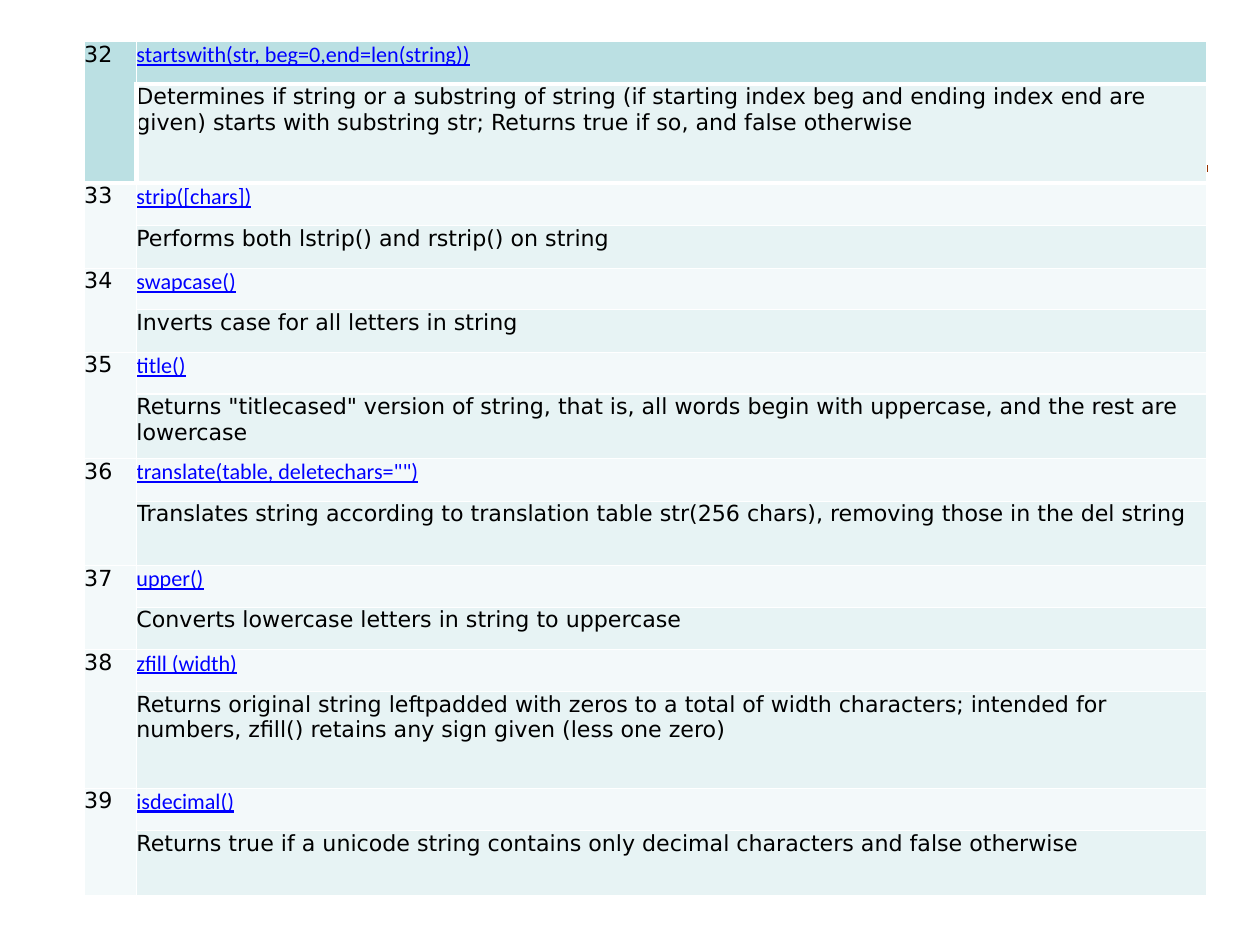
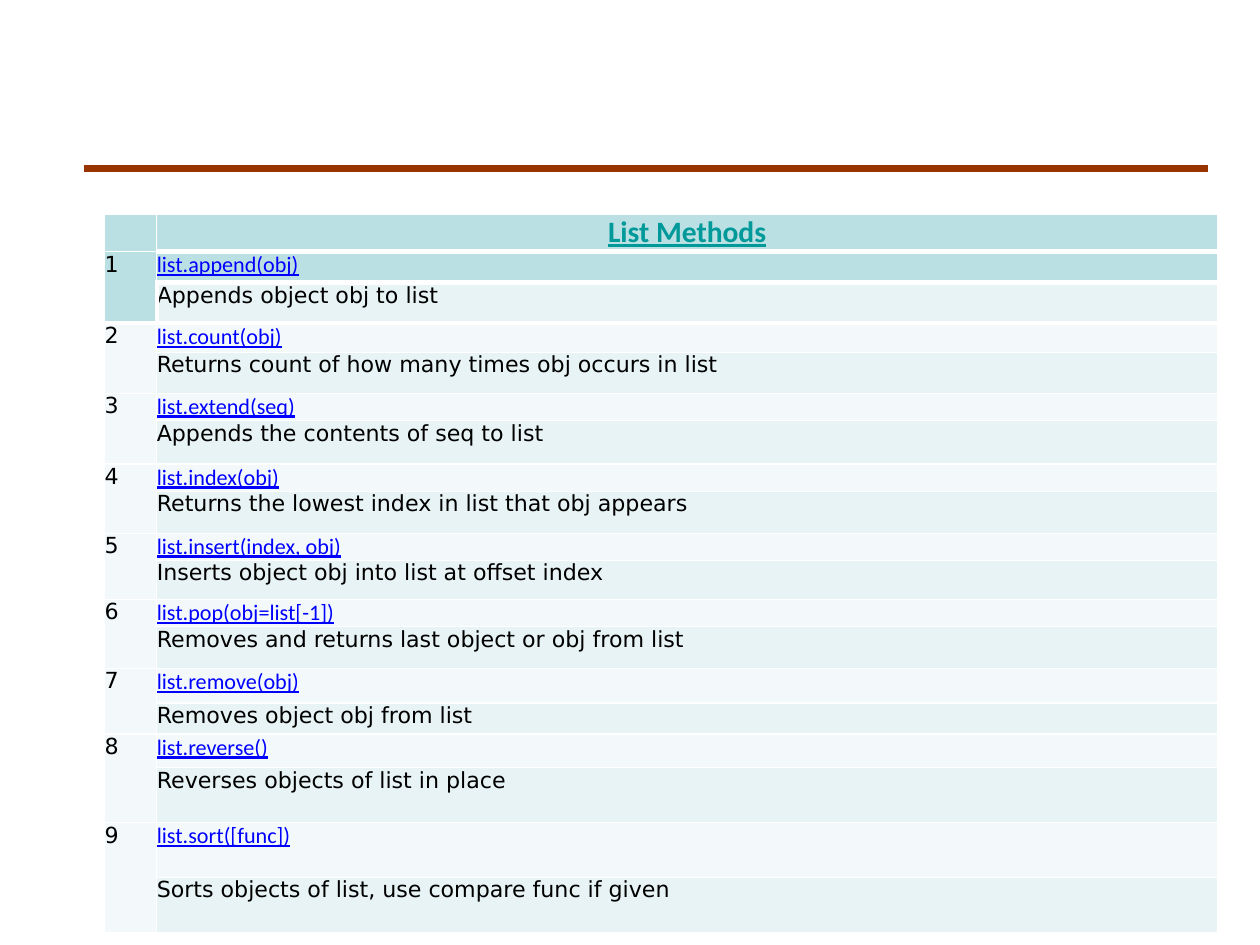
from lxml.etree import SubElement
from pptx import Presentation
from pptx.dml.color import RGBColor
from pptx.enum.shapes import MSO_CONNECTOR as Connector
from pptx.enum.text import PP_ALIGN as Align
from pptx.oxml.ns import qn
from pptx.util import Inches, Pt

STRING_METHODS = [
    ("startswith(str, beg=0,end=len(string))",
     "Determines if string or a substring of string (if starting index beg and ending index end "
     "are given) starts with substring str; Returns true if so, and false otherwise", 0.48, 1.12),
    ("strip([chars])", "Performs both lstrip() and rstrip() on string", 0.48, 0.48),
    ("swapcase()", "Inverts case for all letters in string", 0.47, 0.48),
    ("title()",
     'Returns "titlecased" version of string, that is, all words begin with uppercase, '
     "and the rest are lowercase", 0.47, 0.73),
    ('translate(table, deletechars="")',
     "Translates string according to translation table str(256 chars), "
     "removing those in the del string", 0.48, 0.73),
    ("upper()", "Converts lowercase letters in string to uppercase", 0.47, 0.48),
    ("zfill (width)",
     "Returns original string leftpadded with zeros to a total of width characters; "
     "intended for numbers, zfill() retains any sign given (less one zero)", 0.47, 1.09),
    ("isdecimal()",
     "Returns true if a unicode string contains only decimal characters and false otherwise",
     0.48, 0.73),
]
LIST_METHODS = [
    ("list.append(obj)", "Appends object obj to list", 0.35, 0.46),
    ("list.count(obj)", "Returns count of how many times obj occurs in list", 0.33, 0.46),
    ("list.extend(seq)", "Appends the contents of seq to list", 0.31, 0.49),
    ("list.index(obj)", "Returns the lowest index in list that obj appears", 0.31, 0.47),
    ("list.insert(index, obj)", "Inserts object obj into list at offset index", 0.31, 0.44),
    ("list.pop(obj=list[-1])", "Removes and returns last object or obj from list", 0.31, 0.47),
    ("list.remove(obj)", "Removes object obj from list", 0.39, 0.35),
    ("list.reverse()", "Reverses objects of list in place", 0.38, 0.62),
    ("list.sort([func])", "Sorts objects of list, use compare func if given", 0.62, 0.62),
]
PAGES = [
    dict(methods=STRING_METHODS, first_number=32, left=0.95, top=0.47, width=12.67),
    dict(methods=LIST_METHODS, first_number=1, left=1.18, top=2.42, width=12.56,
         heading="List Methods"),
]
NUMBER_WIDTH, HEADING_HEIGHT = 0.59, 0.42
RULE_LEFT, RULE_RIGHT, RULE_TOP = 0.95, 13.63, 1.9
STRONG, METHOD_FILL, DETAIL_FILL = "BBE0E3", "F3F9FA", "E7F3F4"
BODY, LINK = "DejaVu Sans", "Calibri"
THIN, THICK = 1, 4


def color(value):
    return RGBColor.from_string(value)


def write(cell, text, font=BODY, size=18, ink="000000", bold=False, underline=False,
          align=Align.LEFT):
    paragraph = cell.text_frame.paragraphs[0]
    paragraph.alignment = align
    run = paragraph.add_run()
    run.text = text
    run.font.name, run.font.size = font, Pt(size)
    run.font.bold, run.font.underline = bold, underline
    run.font.color.rgb = color(ink)


def dress(cell, fill, thick=""):
    cell.margin_left = cell.margin_right = cell.margin_top = cell.margin_bottom = 0
    properties = cell._tc.get_or_add_tcPr()
    for side in "LRTB":
        edge = SubElement(properties, qn(f"a:ln{side}"),
                          w=str(Pt(THICK if side in thick else THIN)))
        SubElement(SubElement(edge, qn("a:solidFill")), qn("a:srgbClr"), val="FFFFFF")
    cell.fill.solid()
    cell.fill.fore_color.rgb = color(fill)


def add_rule(slide):
    rule = slide.shapes.add_connector(Connector.STRAIGHT, Inches(RULE_LEFT), Inches(RULE_TOP),
                                      Inches(RULE_RIGHT), Inches(RULE_TOP))
    rule.line.color.rgb = color("993300")
    rule.line.width = Pt(6)
    SubElement(rule._element.spPr, qn("a:effectLst"))


def add_methods(slide, methods, first_number, left, top, width, heading=None):
    heights = [HEADING_HEIGHT] if heading else []
    start = len(heights)
    for _, _, method_height, detail_height in methods:
        heights += [method_height, detail_height]
    table = slide.shapes.add_table(len(heights), 2, Inches(left), Inches(top), Inches(width),
                                   Inches(sum(heights))).table
    table.first_row = table.horz_banding = False
    table.columns[0].width = Inches(NUMBER_WIDTH)
    table.columns[1].width = Inches(width - NUMBER_WIDTH)
    for row, height in zip(table.rows, heights):
        row.height = Inches(height)

    if heading:
        dress(table.cell(0, 0), STRONG)
        dress(table.cell(0, 1), STRONG, thick="B")
        write(table.cell(0, 1), heading, font=LINK, size=24, ink="009999", bold=True,
              underline=True, align=Align.CENTER)

    for index, (method, detail, _, _) in enumerate(methods):
        row = start + 2 * index
        number_cell, below_number = table.cell(row, 0), table.cell(row + 1, 0)
        method_cell, detail_cell = table.cell(row, 1), table.cell(row + 1, 1)
        first, second = index == 0, index == 1
        fill = STRONG if first else METHOD_FILL
        dress(number_cell, fill, thick="B" if first else "T" if second else "")
        dress(below_number, fill, thick="B" if first else "")
        dress(method_cell, fill, thick="TB" if first and heading else "B" if first
              else "T" if second else "")
        dress(detail_cell, DETAIL_FILL, thick="LTB" if first else "")
        number_cell.merge(below_number)
        write(number_cell, str(first_number + index))
        write(method_cell, method, font=LINK, ink="0000FF", underline=True)
        write(detail_cell, detail)


deck = Presentation()
deck.slide_width, deck.slide_height = Inches(14.22), Inches(10.67)
for page in PAGES:
    slide = deck.slides.add_slide(deck.slide_layouts[6])
    add_rule(slide)
    add_methods(slide, **page)
deck.save("out.pptx")
